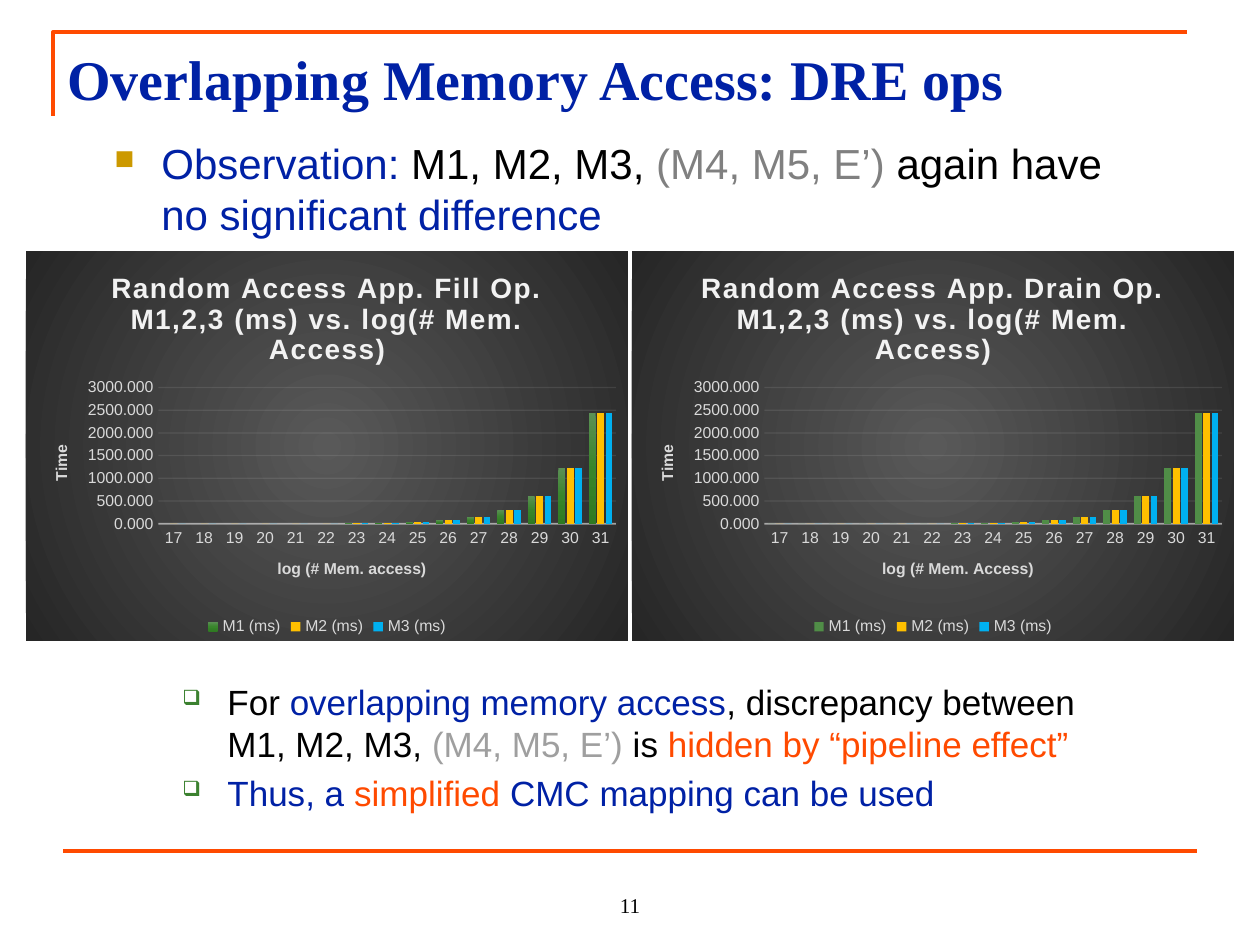
from lxml.etree import SubElement
from pptx import Presentation
from pptx.chart.data import CategoryChartData
from pptx.dml.color import RGBColor
from pptx.enum.chart import XL_CHART_TYPE, XL_LEGEND_POSITION, XL_TICK_MARK
from pptx.enum.shapes import MSO_CONNECTOR
from pptx.enum.text import MSO_ANCHOR, PP_ALIGN
from pptx.oxml import parse_xml
from pptx.oxml.ns import nsdecls, qn
from pptx.util import Pt

PX = 914400 / 126
THEME = {
    "blue": "0021A5", "orange": "FF4A00", "black": "000000", "grey": "808080",
    "light": "9F9F9F", "gold": "CC9900", "green": "3B812F",
    "chart_title": "F2F2F2", "chart_text": "D9D9D9",
    "m1": "508D47", "m2": "FFC000", "m3": "00B0F0",
    "m1_stops": [(0, "5B9055"), (50, "38852B"), (100, "2F7A22")],
    "panel_stops": [(0, "595959"), (100, "262626")],
    "sans": "Arial", "serif": "Times New Roman",
    "title": 32, "body": 24, "sub": 20, "number": 12, "chart_head": 16, "chart_label": 9,
}


def style(font, color, size, name="sans", bold=False):
    values = {"size": Pt(THEME[size]), "name": THEME[name], "bold": bold}
    for key, value in values.items():
        setattr(font, key, value)
    font.color.rgb = RGBColor.from_string(THEME[color])


def gradient(stops, direction):
    """Return a gradFill element; direction is its a:lin or a:path markup."""
    gs = "".join(f'<a:gs pos="{pos * 1000}"><a:srgbClr val="{rgb}"/></a:gs>' for pos, rgb in stops)
    return parse_xml(f'<a:gradFill {nsdecls("a")}><a:gsLst>{gs}</a:gsLst>{direction}</a:gradFill>')


prs = Presentation()
prs.slide_width, prs.slide_height = round(1260 * PX), round(945 * PX)
s = prs.slides.add_slide(prs.slide_layouts[6])

# Orange corner and footer rule
corner = s.shapes.build_freeform(53, 116, scale=PX)
corner.add_line_segments([(53, 32), (1187, 32)], close=False)
frame = corner.convert_to_shape()
frame.shadow.inherit = False
frame.fill.background()
rule = s.shapes.add_connector(MSO_CONNECTOR.STRAIGHT, *[round(v * PX) for v in (63, 851, 1197, 851)])
SubElement(rule._element.spPr, qn("a:effectLst"))
for sp in (frame, rule):
    sp.line.color.rgb = RGBColor.from_string(THEME["orange"])
    sp.line.width = Pt(2.25)

# Text: box, top inset, anchor, alignment, type, bullet, paragraphs of (text, colour)
# Bullet: left margin, hanging indent, character, colour, size in percent
TOP, BOTTOM = MSO_ANCHOR.TOP, MSO_ANCHOR.BOTTOM
LEFT, CENTER = PP_ALIGN.LEFT, PP_ALIGN.CENTER
texts = [
    ((504, 861, 252, 63), 6, BOTTOM, CENTER, ("number", "serif", False), None,
     [[("11", "black")]]),
    ((55, 38, 1225, 110), 6, TOP, LEFT, ("title", "serif", True), None,
     [[("Overlapping Memory Access: DRE ops", "blue")]]),
    ((102, 126, 1100, 113), 12, TOP, LEFT, ("body", "sans", False), (47, 47, "■", "gold", 65),
     [[("Observation: ", "blue"), ("M1, M2, M3, ", "black"), ("(M4, M5, E’)", "grey"),
       (" again have ", "black"), None, ("no significant difference", "blue")]]),
    ((123, 669, 1022, 142), 11, TOP, LEFT, ("sub", "sans", False), (92, 45, "❑", "green", 60),
     [[("For ", "black"), ("overlapping memory access", "blue"),
       (", discrepancy between M1, M2, M3, ", "black"), ("(M4, M5, E’) ", "light"),
       ("is ", "black"), ("hidden by “pipeline effect”", "orange")],
      [("Thus, a ", "blue"), ("simplified ", "orange"), ("CMC mapping can be used", "blue")]]),
]
for box, inset, anchor, align, (size, name, bold), bullet, paragraphs in texts:
    tf = s.shapes.add_textbox(*[round(v * PX) for v in box]).text_frame
    tf.word_wrap = True
    tf.vertical_anchor = anchor
    tf.margin_top = round(inset * PX)
    for i, runs in enumerate(paragraphs):
        p = tf.add_paragraph() if i else tf.paragraphs[0]
        if bullet:
            margin, hang, char, color, percent = bullet
            pPr = p._p.get_or_add_pPr()
            pPr.set("marL", str(round(margin * PX)))
            pPr.set("indent", str(-round(hang * PX)))
            SubElement(SubElement(pPr, qn("a:buClr")), qn("a:srgbClr")).set("val", THEME[color])
            SubElement(pPr, qn("a:buSzPct")).set("val", str(percent * 1000))
            SubElement(pPr, qn("a:buChar")).set("char", char)
        p.alignment = align
        if i:
            p.space_before = Pt(THEME[size] * 0.2)
        for run in runs:
            if run is None:
                p.add_line_break()
                continue
            r = p.add_run()
            r.text = run[0]
            style(r.font, run[1], size, name, bold)

# Charts
TIMES = [0] * 6 + [10, 20, 40, 80, 150, 300, 610, 1220]
LAST = {"M1 (ms)": 2440, "M2 (ms)": 2440, "M3 (ms)": 2430}
PLOT = {"x": 0.22, "y": 0.35, "w": 0.76, "h": 0.35}
charts = [(26, "Fill", "log (# Mem. access)"), (632, "Drain", "log (# Mem. Access)")]
for left, op, x_title in charts:
    data = CategoryChartData(number_format="0.000")
    data.categories = [str(n) for n in range(17, 32)]
    for name, last in LAST.items():
        data.add_series(name, TIMES + [last])
    box = [round(v * PX) for v in (left, 251, 602, 390)]
    chart = s.shapes.add_chart(XL_CHART_TYPE.COLUMN_CLUSTERED, *box, data).chart
    style(chart.font, "chart_text", "chart_label")

    panel = parse_xml(f'<c:spPr {nsdecls("c", "a")}><a:ln><a:noFill/></a:ln></c:spPr>')
    panel.insert(0, gradient(THEME["panel_stops"],
                             '<a:path path="circle"><a:fillToRect l="50000" t="50000" r="50000" b="50000"/></a:path>'))
    chart._chartSpace.chart.addnext(panel)

    chart.has_title = True
    chart.chart_title.include_in_layout = False
    p = chart.chart_title.text_frame.paragraphs[0]
    r = p.add_run()
    r.text = f"Random Access App. {op} Op. M1,2,3 (ms) vs. log(# Mem. Access)"
    style(r.font, "chart_title", "chart_head", bold=True)
    r.font._element.set("spc", "100")

    chart.has_legend = True
    chart.legend.position = XL_LEGEND_POSITION.BOTTOM
    chart.legend.include_in_layout = False
    style(chart.legend.font, "chart_text", "chart_label")

    plot = chart.plots[0]
    plot.gap_width, plot.overlap, plot.vary_by_categories = 100, -24, False
    for ser, color in zip(plot.series, ("m1", "m2", "m3")):
        if op == "Fill" and color == "m1":
            ser._element.get_or_add_spPr().insert(0, gradient(THEME["m1_stops"], '<a:lin ang="5400000"/>'))
        else:
            ser.format.fill.solid()
            ser.format.fill.fore_color.rgb = RGBColor.from_string(THEME[color])

    cat, val = chart.category_axis, chart.value_axis
    for axis, title in ((cat, x_title), (val, "Time")):
        axis.major_tick_mark = axis.minor_tick_mark = XL_TICK_MARK.NONE
        style(axis.tick_labels.font, "chart_text", "chart_label")
        tf = axis.axis_title.text_frame
        r = tf.paragraphs[0].add_run()
        r.text = title
        style(r.font, "chart_text", "chart_label", bold=True)
    tf._txBody.bodyPr.set("rot", "-5400000")
    val.minimum_scale, val.maximum_scale, val.major_unit = 0, 3000, 500
    val.tick_labels.number_format = "0.000"
    val.tick_labels.number_format_is_linked = False
    val.format.line.fill.background()
    for line, width, opacity in ((cat.format.line, 1, 54), (val.major_gridlines.format.line, 0.75, 10)):
        line.width = Pt(width)
        line.color.rgb = RGBColor.from_string(THEME["chart_title"])
        color = line._get_or_add_ln().find(".//" + qn("a:srgbClr"))
        SubElement(color, qn("a:alpha")).set("val", str(opacity * 1000))

    area = chart._chartSpace.chart.plotArea
    for old in area.findall(qn("c:layout")):
        area.remove(old)
    sizes = "".join(f'<c:{key} val="{value}"/>' for key, value in PLOT.items())
    area.insert(0, parse_xml(
        f'<c:layout {nsdecls("c")}><c:manualLayout><c:layoutTarget val="inner"/>'
        f'<c:xMode val="edge"/><c:yMode val="edge"/>{sizes}</c:manualLayout></c:layout>'))

prs.save("out.pptx")
